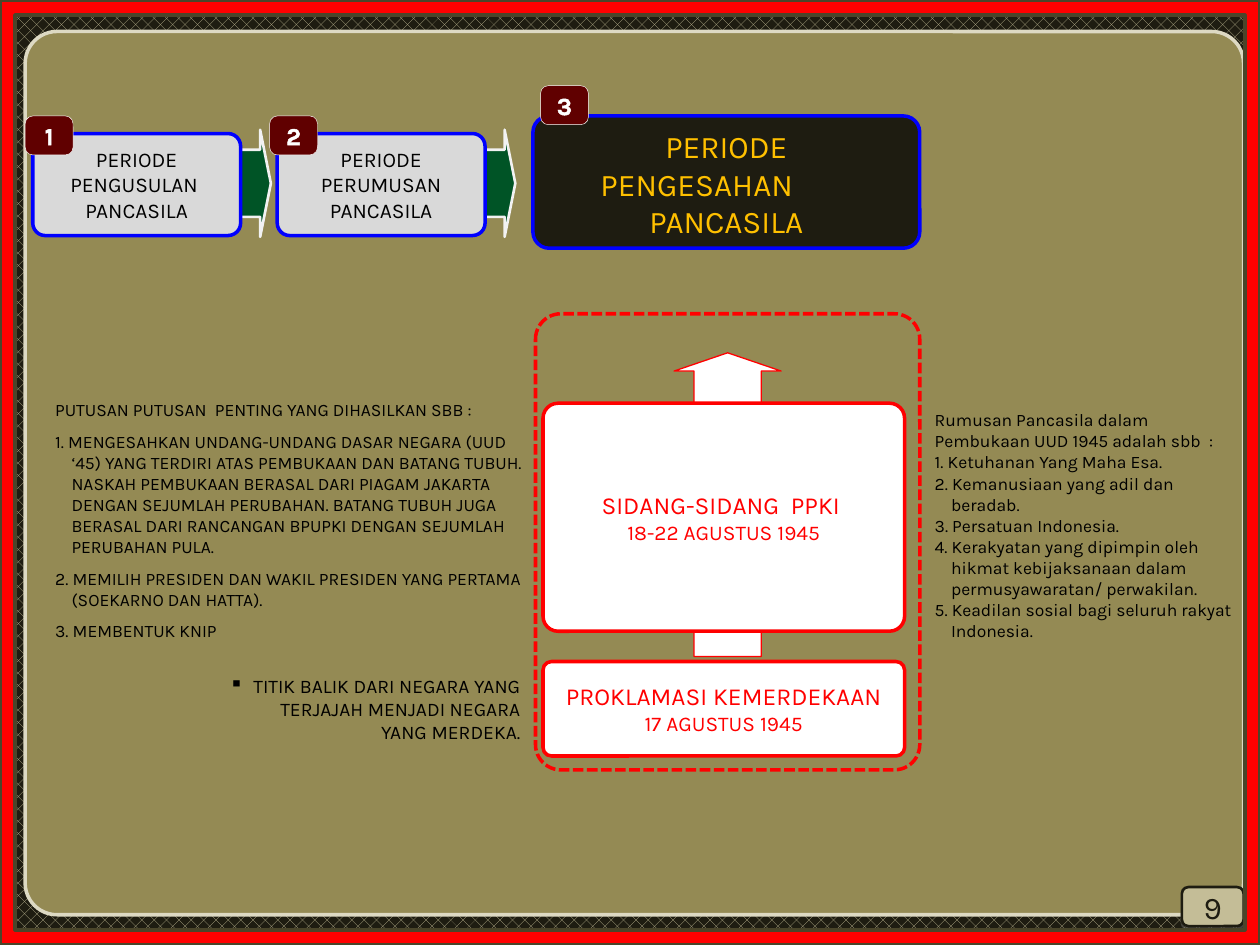
import pptx
import pptx.util
from lxml import etree
from pptx.dml.color import RGBColor
from pptx.enum.dml import MSO_LINE, MSO_PATTERN
from pptx.enum.shapes import MSO_SHAPE
from pptx.enum.text import MSO_ANCHOR, MSO_AUTO_SIZE, PP_ALIGN
from pptx.oxml import parse_xml
from pptx.oxml.ns import nsdecls, qn
from pptx.util import Inches, Pt

FONT = "Karla"
C = {
    "olive": "948A54", "sand": "C4BD97", "cream": "DDD9C3", "dark": "1E1C11",
    "moss": "4A452A", "red": "FF0000", "blue": "0000FF", "gold": "FFC000",
    "green": "005426", "grey": "D9D9D9", "pale": "F2F2F2", "maroon": "600000",
    "white": "FFFFFF", "black": "000000", "shadow": "808080",
}


def rgb(name):
    return RGBColor.from_string(C[name])


def add_shape(s, kind, x, y, w, h, fill, line, width, adj):
    sp = s.shapes.add_shape(kind, Inches(x), Inches(y), Inches(w), Inches(h))
    sp.shadow.inherit = False
    for i, value in enumerate(adj):
        sp.adjustments[i] = value
    if fill:
        sp.fill.solid()
        sp.fill.fore_color.rgb = rgb(fill)
    else:
        sp.fill.background()
    sp.line.color.rgb = rgb(line)
    sp.line.width = Pt(width)
    return sp


def add_text(tf, text, size, color, align=PP_ALIGN.LEFT, bold=False,
             indent=0, hanging=0, before=0, bullet=None):
    """Append a paragraph, filling the first one while it is empty."""
    p = tf.paragraphs[0] if not tf.text else tf.add_paragraph()
    p.alignment = align
    if before:
        p.space_before = Pt(before)
    pPr = p._p.get_or_add_pPr()
    if indent:
        pPr.set("marL", str(Inches(indent)))
        pPr.set("indent", str(-Inches(hanging)))
    if bullet:
        etree.SubElement(pPr, qn("a:buChar")).set("char", bullet)
    r = p.add_run()
    r.text = text
    r.font.name = FONT
    r.font.size = Pt(size)
    r.font.bold = bold
    r.font.color.rgb = rgb(color)
    return r


def add_label(sp, lines, color, anchor=MSO_ANCHOR.MIDDLE):
    """Centre (text, size) lines in a shape."""
    tf = sp.text_frame
    tf.word_wrap = True
    tf.vertical_anchor = anchor
    for text, size in lines:
        add_text(tf, text, size, color, align=PP_ALIGN.CENTER)


def add_text_box(s, x, y, w, h):
    tf = s.shapes.add_textbox(Inches(x), Inches(y), Inches(w), Inches(h)).text_frame
    tf.word_wrap = True
    tf.auto_size = MSO_AUTO_SIZE.SHAPE_TO_FIT_TEXT
    return tf


def draw_backdrop(s, w, h):
    fill = s.background.fill
    fill.patterned()
    fill.pattern = MSO_PATTERN.PERCENT_30
    fill.fore_color.rgb = rgb("sand")
    fill.back_color.rgb = rgb("dark")
    add_shape(s, MSO_SHAPE.ROUNDED_RECTANGLE, 0.2, 0.25, w - 0.33, h - 0.49,
              "olive", "cream", 2, [0.036])
    number = add_shape(s, MSO_SHAPE.ROUNDED_RECTANGLE, w - 0.62, h - 0.46, 0.49, 0.31,
                       "sand", "dark", 1.5, [0.167])
    number._element.spPr.find(qn("a:effectLst")).append(parse_xml(
        f'<a:outerShdw {nsdecls("a")} dist="{Pt(1.6)}" dir="5400000">'
        f'<a:srgbClr val="{C["shadow"]}"><a:alpha val="38000"/></a:srgbClr></a:outerShdw>'))
    add_label(number, [("9", 18)], "dark")
    add_shape(s, MSO_SHAPE.FRAME, 0, 0, w, h, "red", "moss", 2, [0.016])


def draw_badge(s, x, y, number):
    sp = add_shape(s, MSO_SHAPE.ROUNDED_RECTANGLE, x, y, 0.38, 0.31,
                   "maroon", "white", 0.25, [0.197])
    sp.text_frame.vertical_anchor = MSO_ANCHOR.MIDDLE
    r = add_text(sp.text_frame, number, 14, "white", align=PP_ALIGN.CENTER, bold=True)
    rPr = r._r.get_or_add_rPr()
    rPr.set("spc", "150")
    rPr.insert(0, parse_xml(
        f'<a:ln {nsdecls("a")} w="{Pt(0.9)}"><a:solidFill>'
        f'<a:srgbClr val="{C["white"]}"/></a:solidFill></a:ln>'))


def draw_stage(s, x, y, number, lines):
    """A past period: arrow to the next one, box and number."""
    add_shape(s, MSO_SHAPE.RIGHT_ARROW, x + 1.39, y - 0.03, 0.5, 0.85,
              "green", "pale", 1.5, [0.627, 0.17])
    box = add_shape(s, MSO_SHAPE.ROUNDED_RECTANGLE, x, y, 1.65, 0.81,
                    "grey", "blue", 2, [0.123])
    add_label(box, [(line, 12) for line in lines], "black")
    draw_badge(s, x - 0.06, y - 0.14, number)


def draw_current_stage(s, x, y, w, h):
    box = add_shape(s, MSO_SHAPE.ROUNDED_RECTANGLE, x, y, w, h,
                    "dark", "blue", 2, [0.123])
    tf = box.text_frame
    tf.word_wrap = True
    tf.vertical_anchor = MSO_ANCHOR.TOP
    add_text(tf, "PERIODE", 18, "gold", align=PP_ALIGN.CENTER)
    add_text(tf, "PENGESAHAN", 18, "gold", indent=0.4)
    add_text(tf, "PANCASILA", 18, "gold", align=PP_ALIGN.CENTER)
    draw_badge(s, x + 0.06, y - 0.24, "3")


def draw_timeline(s, x, y, w, h):
    """Dashed panel where the events rise along an upward arrow."""
    panel = add_shape(s, MSO_SHAPE.ROUNDED_RECTANGLE, x, y, w, h, None, "red", 2, [0.066])
    panel.line.dash_style = MSO_LINE.SQUARE_DOT
    arrow = add_shape(s, MSO_SHAPE.RIGHT_ARROW, x + 0.32, y + 1.09, 2.41, 0.85,
                      "white", "red", 0.75, [0.627, 0.17])
    arrow.rotation = 270
    events = [
        (2.76, 0.75, 0.09, "PROKLAMASI KEMERDEKAAN", "17 AGUSTUS 1945"),
        (0.71, 1.81, 0.066, "SIDANG-SIDANG  PPKI ", "18-22 AGUSTUS 1945"),
    ]
    for dy, height, corner, name, date in events:
        box = add_shape(s, MSO_SHAPE.ROUNDED_RECTANGLE, x + 0.06, y + dy, w - 0.18, height,
                        "white", "red", 2, [corner])
        add_label(box, [(name, 14), (date, 12)], "red")


def draw_list(s, x, y, w, h, heading, items, before=0):
    tf = add_text_box(s, x, y, w, h)
    add_text(tf, heading, 10, "black")
    for i, item in enumerate(items, 1):
        add_text(tf, f"{i}. {item}", 10, "black", indent=0.13, hanging=0.13, before=before)


def draw_turning_point(s, x, y, w, h):
    tf = add_text_box(s, x, y, w, h)
    add_text(tf, "TITIK BALIK DARI NEGARA YANG TERJAJAH MENJADI NEGARA YANG MERDEKA.",
             11, "black", align=PP_ALIGN.RIGHT, indent=0.19, hanging=0.19, bullet="▪")


def main():
    prs = pptx.Presentation()
    prs.slide_width, prs.slide_height = Inches(10), Inches(7.5)
    s = prs.slides.add_slide(prs.slide_layouts[6])
    draw_backdrop(s, 10, 7.5)
    draw_timeline(s, 4.25, 2.49, 3.05, 3.62)
    for i, middle in enumerate(["PENGUSULAN ", "PERUMUSAN"]):
        draw_stage(s, 0.26 + 1.94 * i, 1.06, str(i + 1), ["PERIODE", middle, "PANCASILA"])
    draw_current_stage(s, 4.23, 0.92, 3.07, 1.05)
    draw_turning_point(s, 1.57, 5.3, 2.66, 0.66)
    draw_list(s, 0.34, 3.12, 3.97, 1.87, "PUTUSAN PUTUSAN  PENTING YANG DIHASILKAN SBB :", [
        "MENGESAHKAN UNDANG-UNDANG DASAR NEGARA (UUD ‘45) YANG TERDIRI ATAS PEMBUKAAN "
        "DAN BATANG TUBUH. NASKAH PEMBUKAAN BERASAL DARI PIAGAM JAKARTA DENGAN SEJUMLAH "
        "PERUBAHAN. BATANG TUBUH JUGA BERASAL DARI RANCANGAN BPUPKI DENGAN SEJUMLAH "
        "PERUBAHAN PULA.",
        "MEMILIH PRESIDEN DAN WAKIL PRESIDEN YANG PERTAMA (SOEKARNO DAN HATTA).",
        "MEMBENTUK KNIP",
    ], before=6)
    draw_list(s, 7.32, 3.2, 2.55, 1.78,
              "Rumusan Pancasila dalam Pembukaan UUD 1945 adalah sbb  :", [
                  "Ketuhanan Yang Maha Esa.",
                  "Kemanusiaan yang adil dan beradab.",
                  "Persatuan Indonesia.",
                  "Kerakyatan yang dipimpin oleh hikmat kebijaksanaan dalam "
                  "permusyawaratan/ perwakilan.",
                  "Keadilan sosial bagi seluruh rakyat Indonesia.",
              ])
    prs.save("out.pptx")


if __name__ == "__main__":
    main()
